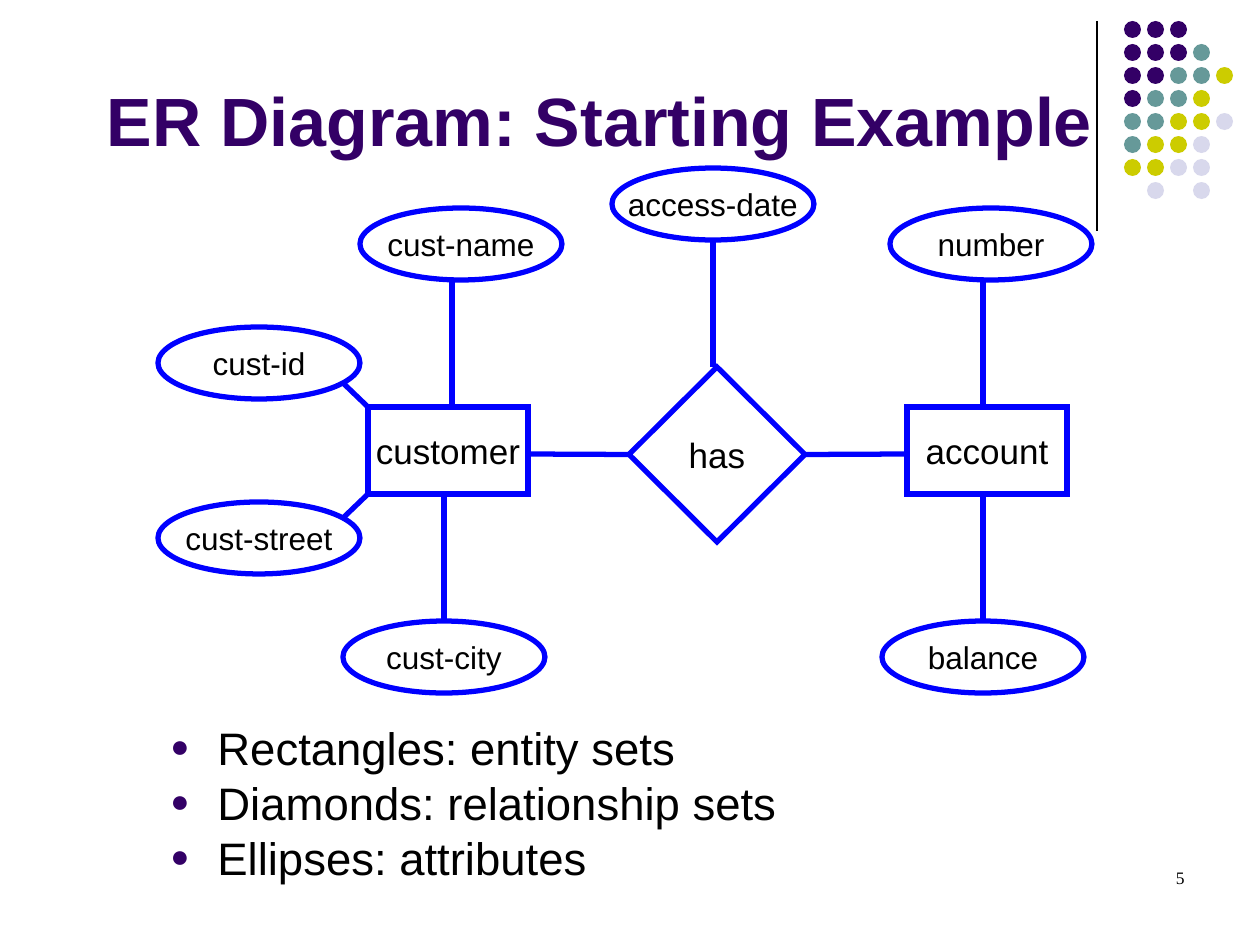
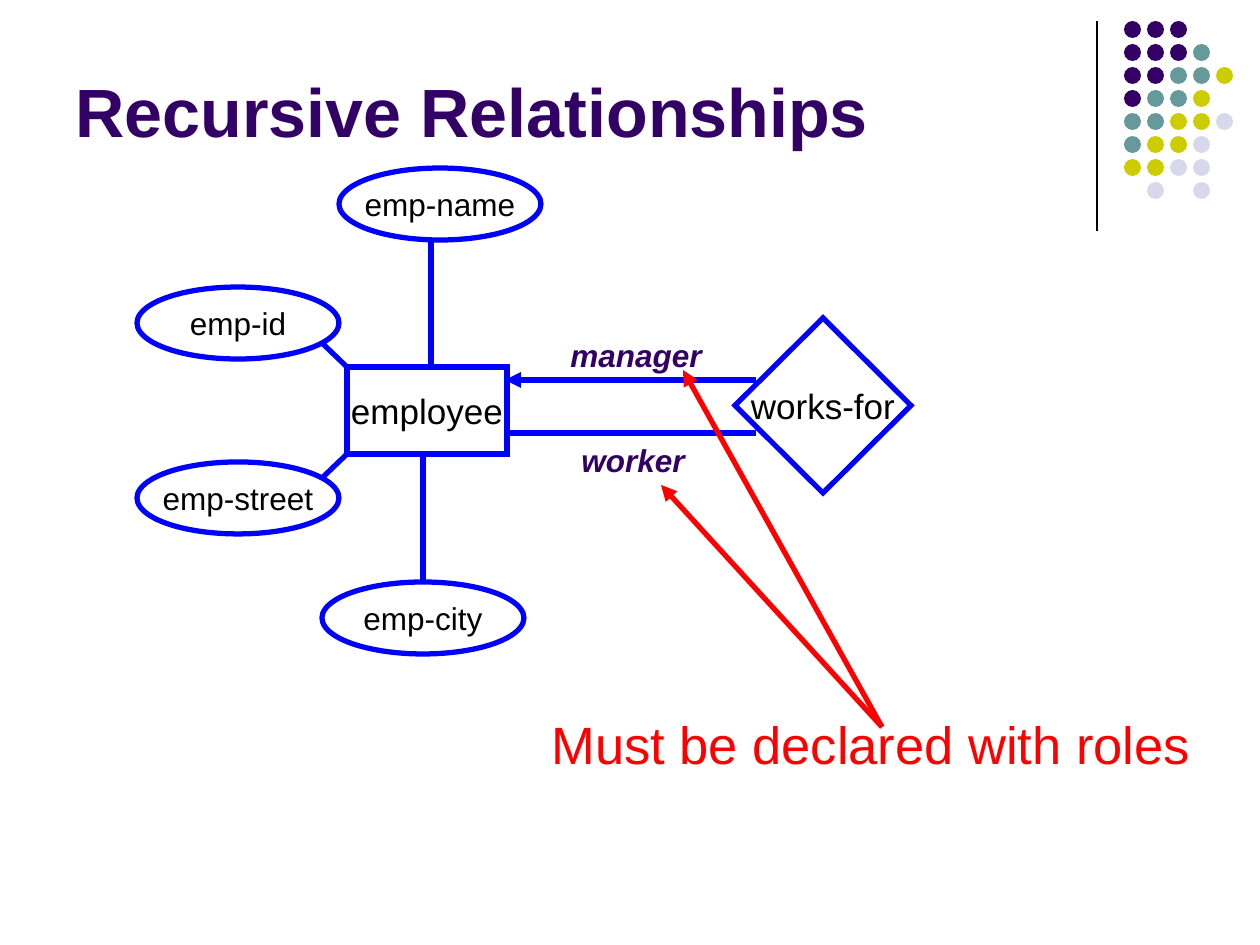
import pptx
import pptx.util
import pptx.dml.color
import pptx.enum.shapes
import pptx.enum.text
from lxml import etree

SCALE = pptx.util.Inches(10) / 1260
COLORS = {"purple": "330066", "teal": "669999", "olive": "CCCC00", "lilac": "D8D8EC",
          "blue": "0000FF", "red": "FF0000", "black": "000000"}
RGB = {name: pptx.dml.color.RGBColor.from_string(code) for name, code in COLORS.items()}
SHAPE = pptx.enum.shapes.MSO_SHAPE
ALIGN = pptx.enum.text.PP_ALIGN
ANCHOR = pptx.enum.text.MSO_ANCHOR
STRAIGHT = pptx.enum.shapes.MSO_CONNECTOR.STRAIGHT
Pt = pptx.util.Pt
DRAWING = "{http://schemas.openxmlformats.org/drawingml/2006/main}"

TITLE = {"name": "Arial", "size": Pt(39), "bold": True}
BULLET = {"name": "Arial", "size": Pt(26)}
NOTE = {"name": "Arial", "size": Pt(30)}
NODE = {"name": "Arial", "size": Pt(20)}
ATTRIBUTE = {"name": "Arial", "size": Pt(18)}
ROLE = {"name": "Arial", "size": Pt(18), "bold": True, "italic": True}
NUMBER = {"name": "Times New Roman", "size": Pt(10)}

DOT_ROWS = ["PPP", "PPPT", "PPTTY", "PTTY", "TTYYL", "TYYL", "YYLL", ".L.L"]
DOT_COLORS = {"P": "purple", "T": "teal", "Y": "olive", "L": "lilac"}
DOT_PITCH = 23
ENTITY_SIZE = (160, 87)
DIAMOND_SIZE = (176, 175)
ELLIPSE_SIZE = (202, 72)


def write(box, lines, style, color="black", align=ALIGN.LEFT, anchor=ANCHOR.TOP, wrap=True):
    frame = box.text_frame
    frame.word_wrap = wrap
    frame.vertical_anchor = anchor
    frame.text = "\n".join(lines)
    for para in frame.paragraphs:
        para.alignment = align
        for span in para.runs:
            for key, value in style.items():
                setattr(span.font, key, value)
            span.font.color.rgb = RGB[color]


def link(page, start, end, color="blue", width=3, arrow=False):
    ends = [round(value * SCALE) for value in (*start, *end)]
    line = page.shapes.add_connector(STRAIGHT, *ends)
    line.line.color.rgb = RGB[color]
    line.line.width = Pt(width)
    if arrow:
        etree.SubElement(line.line._get_or_add_ln(), DRAWING + "tailEnd", type="triangle")
    etree.SubElement(line.element.spPr, DRAWING + "effectLst")
    return line


deck = pptx.Presentation()
deck.slide_width = pptx.util.Inches(10)
deck.slide_height = pptx.util.Inches(7.5)
layout = deck.slide_layouts[5]
for holder in list(layout.placeholders):
    if holder.placeholder_format.idx >= 10:
        holder.element.getparent().remove(holder.element)

pages = []
for title, place in [("ER Diagram: Starting Example", (94, 9, 1134, 158)),
                     ("Recursive Relationships", (63, 15, 1040, 142))]:
    page = deck.slides.add_slide(layout)
    heading = page.shapes.title
    heading.left, heading.top, heading.width, heading.height = [round(v * SCALE) for v in place]
    heading.text_frame.auto_size = pptx.enum.text.MSO_AUTO_SIZE.NONE
    write(heading, [title], TITLE, "purple", anchor=ANCHOR.BOTTOM)
    pages.append(page)
example, recursive = pages

decoration = layout.shapes.element
decoration.append(link(example, (1097, 21), (1097, 231), "black", 0.75).element)
dots = example.shapes.add_group_shape()
for row, letters in enumerate(DOT_ROWS):
    for column, letter in enumerate(letters):
        if letter in DOT_COLORS:
            place = (1124 + column * DOT_PITCH, 21 + row * DOT_PITCH, 17, 17)
            dot = dots.shapes.add_shape(SHAPE.OVAL, *[round(v * SCALE) for v in place])
            dot.shadow.inherit = False
            dot.fill.solid()
            dot.fill.fore_color.rgb = RGB[DOT_COLORS[letter]]
            dot.line.fill.background()
decoration.append(dots.element)

nodes = {}
for page, kind, label, place, size, style in [
    (example, SHAPE.RECTANGLE, "customer", (368, 407), ENTITY_SIZE, NODE),
    (example, SHAPE.DIAMOND, "has", (629, 367), DIAMOND_SIZE, NODE),
    (example, SHAPE.RECTANGLE, "account", (907, 407), ENTITY_SIZE, NODE),
    (example, SHAPE.OVAL, "cust-id", (158, 327), ELLIPSE_SIZE, ATTRIBUTE),
    (example, SHAPE.OVAL, "cust-street", (158, 502), ELLIPSE_SIZE, ATTRIBUTE),
    (example, SHAPE.OVAL, "cust-name", (360, 208), ELLIPSE_SIZE, ATTRIBUTE),
    (example, SHAPE.OVAL, "cust-city", (343, 621), ELLIPSE_SIZE, ATTRIBUTE),
    (example, SHAPE.OVAL, "access-date", (612, 168), ELLIPSE_SIZE, ATTRIBUTE),
    (example, SHAPE.OVAL, "number", (890, 208), ELLIPSE_SIZE, ATTRIBUTE),
    (example, SHAPE.OVAL, "balance", (882, 621), ELLIPSE_SIZE, ATTRIBUTE),
    (recursive, SHAPE.RECTANGLE, "employee", (347, 367), ENTITY_SIZE, NODE),
    (recursive, SHAPE.DIAMOND, "works-for", (735, 318), DIAMOND_SIZE, NODE),
    (recursive, SHAPE.OVAL, "emp-id", (137, 287), ELLIPSE_SIZE, ATTRIBUTE),
    (recursive, SHAPE.OVAL, "emp-street", (137, 462), ELLIPSE_SIZE, ATTRIBUTE),
    (recursive, SHAPE.OVAL, "emp-name", (339, 168), ELLIPSE_SIZE, ATTRIBUTE),
    (recursive, SHAPE.OVAL, "emp-city", (322, 582), ELLIPSE_SIZE, ATTRIBUTE),
]:
    node = page.shapes.add_shape(kind, *[round(v * SCALE) for v in (*place, *size)])
    node.shadow.inherit = False
    node.fill.background()
    node.line.color.rgb = RGB["blue"]
    node.line.width = Pt(3)
    etree.SubElement(node.line._get_or_add_ln(), DRAWING + "miter", lim="800000")
    write(node, [label], style, align=ALIGN.CENTER, anchor=ANCHOR.MIDDLE, wrap=False)
    nodes[label] = node

for page, left, top, upper_offset, lower, has_sides in [
    (example, 368, 407, 84, "cust-city", True),
    (example, 907, 407, 76, "balance", False),
    (recursive, 347, 367, 84, "emp-city", True),
]:
    bottom = top + ENTITY_SIZE[1]
    link(page, (left + upper_offset, top - 127), (left + upper_offset, top))
    link(page, (left + 76, bottom), (left + 76, bottom + 127)).end_connect(nodes[lower], 0)
    if has_sides:
        link(page, (left - 25, top - 24), (left, top))
        link(page, (left, bottom), (left - 25, bottom + 24))

link(example, (528, 454), (629, 454)).end_connect(nodes["has"], 1)
link(example, (805, 454), (907, 454)).begin_connect(nodes["has"], 3)
link(example, (713, 367), (713, 240))
link(recursive, (756, 380), (505, 380), arrow=True)
link(recursive, (756, 433), (505, 433))

for page, lines, place, style, color, align, wrap in [
    (example, ["Rectangles: entity sets", "Diamonds: relationship sets", "Ellipses: attributes"],
     (158, 724, 788, 179), BULLET, "black", ALIGN.LEFT, True),
    (example, ["5"], (903, 861, 294, 63), NUMBER, "black", ALIGN.RIGHT, True),
    (recursive, ["Must be declared with roles"], (539, 706, 721, 94), NOTE, "red", ALIGN.LEFT, True),
    (recursive, ["manager"], (534, 330, 180, 50), ROLE, "purple", ALIGN.RIGHT, True),
    (recursive, ["worker"], (517, 435, 180, 50), ROLE, "purple", ALIGN.RIGHT, True),
]:
    box = page.shapes.add_textbox(*[round(v * SCALE) for v in place])
    write(box, lines, style, color, align, wrap=wrap)
    if style is BULLET:
        for index, para in enumerate(box.text_frame.paragraphs):
            settings = para._p.get_or_add_pPr()
            settings.set("marL", str(round(47 * SCALE)))
            settings.set("indent", str(round(-47 * SCALE)))
            tint = etree.SubElement(settings, DRAWING + "buClr")
            etree.SubElement(tint, DRAWING + "srgbClr", val=COLORS["purple"])
            etree.SubElement(settings, DRAWING + "buSzPct", val="70000")
            etree.SubElement(settings, DRAWING + "buFont", typeface="Arial")
            etree.SubElement(settings, DRAWING + "buChar", char="●")
            para.line_spacing = 0.8
            if index:
                para.space_before = Pt(6.5)

for tip in [(661, 485), (683, 370)]:
    link(recursive, (882, 727), tip, "red", arrow=True)

deck.save("out.pptx")
